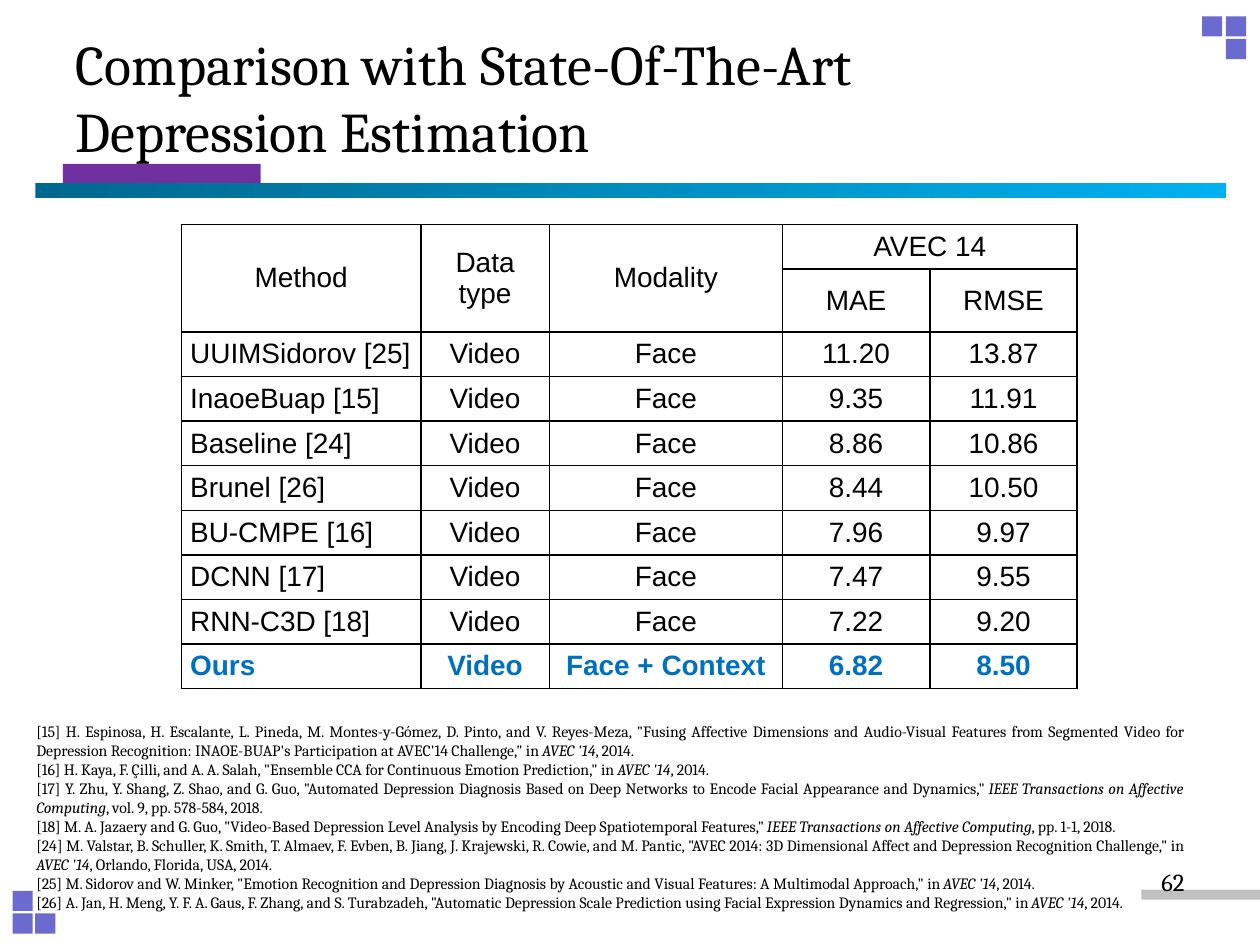
from pptx import Presentation
from pptx.dml.color import RGBColor
from pptx.enum.shapes import MSO_SHAPE
from pptx.enum.text import MSO_ANCHOR, MSO_AUTO_SIZE, PP_ALIGN
from pptx.oxml.ns import qn
from pptx.util import Inches, Pt
from lxml.etree import SubElement

COLORS = {
    "text": "000000",
    "highlight": "0070C0",
    "square": "6B6BCF",
    "tab": "7030A0",
    "bar_start": "00688E",
    "bar_end": "00B0F0",
    "number_bar": "C0C0C0",
}

COLUMN_WIDTHS = [1.9, 1.02, 1.85, 1.17, 1.17]
ROW_HEIGHT = 0.354
SUBHEADER_HEIGHT = 0.5
HEADERS = [
    ["Method", "Data type", "Modality", "AVEC 14", ""],
    ["", "", "", "MAE", "RMSE"],
]
RESULTS = [
    ("UUIMSidorov [25]", "Face", "11.20", "13.87"),
    ("InaoeBuap [15]", "Face", "9.35", "11.91"),
    ("Baseline [24]", "Face", "8.86", "10.86"),
    ("Brunel [26]", "Face", "8.44", "10.50"),
    ("BU-CMPE [16]", "Face", "7.96", "9.97"),
    ("DCNN [17]", "Face", "7.47", "9.55"),
    ("RNN-C3D [18]", "Face", "7.22", "9.20"),
    ("Ours", "Face + Context", "6.82", "8.50"),
]

WORKSHOP = "AVEC '14"
JOURNAL = "IEEE Transactions on Affective Computing"
# Each reference: authors and title, venue in italics, closing details
REFERENCES = [
    ("[15] H. Espinosa, H. Escalante, L. Pineda, M. Montes-y-Gómez, D. Pinto, and V. Reyes-Meza, "
     "\"Fusing Affective Dimensions and Audio-Visual Features from Segmented Video for Depression "
     "Recognition: INAOE-BUAP's Participation at AVEC'14 Challenge,\" in ", WORKSHOP, ", 2014."),
    ("[16] H. Kaya, F. Çilli, and A. A. Salah, \"Ensemble CCA for Continuous Emotion Prediction,\" in ",
     WORKSHOP, ", 2014."),
    ("[17] Y. Zhu, Y. Shang, Z. Shao, and G. Guo, \"Automated Depression Diagnosis Based on Deep "
     "Networks to Encode Facial Appearance and Dynamics,\" ", JOURNAL, ", vol. 9, pp. 578-584, 2018."),
    ("[18] M. A. Jazaery and G. Guo, \"Video-Based Depression Level Analysis by Encoding Deep "
     "Spatiotemporal Features,\" ", JOURNAL, ", pp. 1-1, 2018."),
    ("[24] M. Valstar, B. Schuller, K. Smith, T. Almaev, F. Evben, B. Jiang, J. Krajewski, R. Cowie, "
     "and M. Pantic, \"AVEC 2014: 3D Dimensional Affect and Depression Recognition Challenge,\" in ",
     WORKSHOP, ", Orlando, Florida, USA, 2014."),
    ("[25] M. Sidorov and W. Minker, \"Emotion Recognition and Depression Diagnosis by Acoustic and "
     "Visual Features: A Multimodal Approach,\" in ", WORKSHOP, ", 2014."),
    ("[26] A. Jan, H. Meng, Y. F. A. Gaus, F. Zhang, and S. Turabzadeh, \"Automatic Depression Scale "
     "Prediction using Facial Expression Dynamics and Regression,\" in ", WORKSHOP, ", 2014."),
]


def rgb(name):
    return RGBColor.from_string(COLORS[name])


def style_font(font, size, family="Cambria", color="text", bold=False, italic=False):
    font.size = Pt(size)
    font.name = family
    font.color.rgb = rgb(color)
    font.bold = bold
    font.italic = italic


def add_block(slide, left, top, width, height, color):
    block = slide.shapes.add_shape(
        MSO_SHAPE.RECTANGLE, Inches(left), Inches(top), Inches(width), Inches(height))
    block.shadow.inherit = False
    block.line.fill.background()
    block.fill.solid()
    block.fill.fore_color.rgb = rgb(color)
    return block


def add_decoration(slide):
    # Three squares in each of two corners
    for left, top in [(9.73, 0.13), (9.54, 0.13), (9.73, 0.31),
                      (0.1, 7.25), (0.28, 7.25), (0.1, 7.07)]:
        add_block(slide, left, top, 0.16, 0.16, "square")
    add_block(slide, 9.06, 7.06, 0.94, 0.08, "number_bar")
    # Title underline
    add_block(slide, 0.5, 1.3, 1.57, 0.16, "tab")
    underline = add_block(slide, 0.28, 1.45, 9.45, 0.12, "bar_end")
    underline.fill.gradient()
    underline.fill.gradient_angle = 0
    for stop, color in zip(underline.fill.gradient_stops, ("bar_start", "bar_end")):
        stop.color.rgb = rgb(color)


def add_title(slide, text):
    title = slide.shapes.title
    title.left, title.top = Inches(0.5), Inches(0.14)
    title.width, title.height = Inches(9), Inches(1.25)
    frame = title.text_frame
    frame.text = text
    frame.auto_size = MSO_AUTO_SIZE.NONE
    frame.vertical_anchor = MSO_ANCHOR.MIDDLE
    frame.paragraphs[0].alignment = PP_ALIGN.LEFT
    for run in frame.paragraphs[0].runs:
        style_font(run.font, 32)
    # Keep the title in front of the decoration
    slide.shapes._spTree.append(title._element)


def add_borders(cell):
    properties = cell._tc.get_or_add_tcPr()
    for index, side in enumerate(("a:lnL", "a:lnR", "a:lnT", "a:lnB")):
        border = properties.makeelement(qn(side), {"w": str(Pt(1))})
        fill = SubElement(border, qn("a:solidFill"))
        SubElement(fill, qn("a:srgbClr"), val=COLORS["text"])
        properties.insert(index, border)


def format_cell(cell, text, align, color, bold):
    cell.text = text
    cell.vertical_anchor = MSO_ANCHOR.MIDDLE
    cell.margin_left = cell.margin_right = Inches(0.07)
    cell.margin_top = cell.margin_bottom = 0
    cell.fill.background()
    add_borders(cell)
    paragraph = cell.text_frame.paragraphs[0]
    paragraph.alignment = align
    style_font(paragraph.font, 16, "Arial", color, bold)
    for run in paragraph.runs:
        style_font(run.font, 16, "Arial", color, bold)


def add_results_table(slide):
    rows = HEADERS + [[method, "Video", *scores] for method, *scores in RESULTS]
    heights = [ROW_HEIGHT] * len(rows)
    heights[1] = SUBHEADER_HEIGHT
    table = slide.shapes.add_table(
        len(rows), len(COLUMN_WIDTHS), Inches(1.44), Inches(1.78),
        Inches(sum(COLUMN_WIDTHS)), Inches(sum(heights))).table
    table.first_row = table.horz_banding = False
    for column, width in zip(table.columns, COLUMN_WIDTHS):
        column.width = Inches(width)
    for row, height in zip(table.rows, heights):
        row.height = Inches(height)
    for r, values in enumerate(rows):
        ours = values[0] == "Ours"
        for c, value in enumerate(values):
            is_method = c == 0 and r >= len(HEADERS)
            format_cell(table.cell(r, c), value,
                        PP_ALIGN.LEFT if is_method else PP_ALIGN.CENTER,
                        "highlight" if ours else "text", ours)
    # Header spans
    for c in range(3):
        table.cell(0, c).merge(table.cell(1, c))
    table.cell(0, 3).merge(table.cell(0, 4))


def add_text_frame(slide, left, top, width, height):
    frame = slide.shapes.add_textbox(
        Inches(left), Inches(top), Inches(width), Inches(height)).text_frame
    frame.word_wrap = True
    return frame


def add_references(slide):
    frame = add_text_frame(slide, 0.19, 5.68, 9.3, 1.62)
    for index, parts in enumerate(REFERENCES):
        reference = frame.add_paragraph() if index else frame.paragraphs[0]
        reference.alignment = PP_ALIGN.JUSTIFY
        for position, part in enumerate(parts):
            run = reference.add_run()
            run.text = part
            style_font(run.font, 9, italic=position == 1)


def add_page_number(slide, number):
    frame = add_text_frame(slide, 7.17, 6.83, 2.33, 0.52)
    frame.text = number
    frame.paragraphs[0].alignment = PP_ALIGN.RIGHT
    style_font(frame.paragraphs[0].runs[0].font, 14)


def main():
    deck = Presentation()
    deck.slide_width, deck.slide_height = Inches(10), Inches(7.5)
    slide = deck.slides.add_slide(deck.slide_layouts[5])
    add_decoration(slide)
    add_results_table(slide)
    add_title(slide, "Comparison with State-Of-The-Art\vDepression Estimation")
    add_references(slide)
    add_page_number(slide, "62")
    deck.save("out.pptx")


if __name__ == "__main__":
    main()
